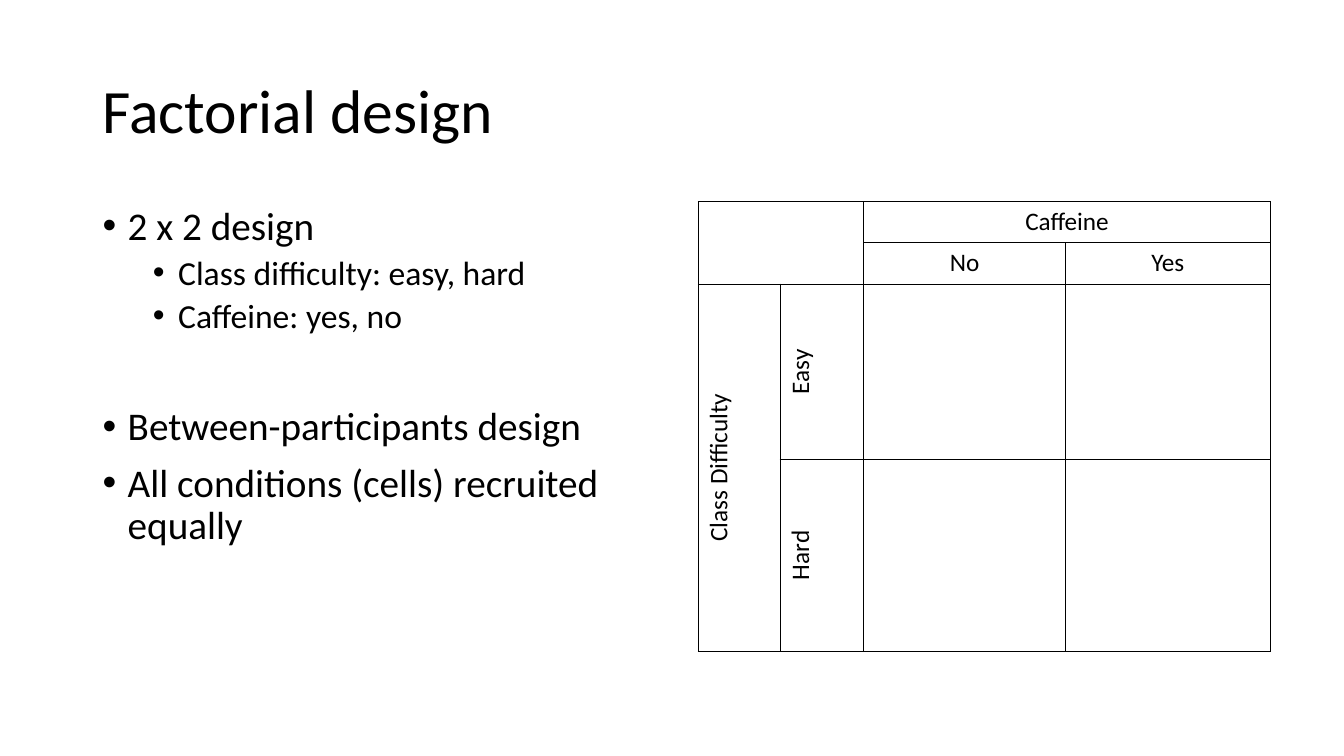
from lxml import etree
from pptx import Presentation
from pptx.dml.color import RGBColor
from pptx.enum.text import MSO_ANCHOR, MSO_AUTO_SIZE, PP_ALIGN
from pptx.oxml.ns import qn
from pptx.util import Cm, Pt

LEFT, CENTER = PP_ALIGN.LEFT, PP_ALIGN.CENTER
TOP, MIDDLE = MSO_ANCHOR.TOP, MSO_ANCHOR.MIDDLE
NO_FIT = MSO_AUTO_SIZE.NONE
BLACK = "000000"
FONT = "Calibri"

POINTS = [
    ("2 x 2 design", 0, 10),
    ("Class difficulty: easy, hard", 1, 5),
    ("Caffeine: yes, no", 1, 5),
    ("Between-participants design", 0, 51),
    ("All conditions (cells) recruited equally", 0, 10),
]
COLS = [2.06, 2.11, 5.08, 5.16]
ROWS = [1.04, 1.04, 4.42, 4.83]
SPANS = [(0, 0, 1, 1), (0, 2, 0, 3), (2, 0, 3, 0)]
HEADS = [(0, 2, "Caffeine"), (1, 2, "No"), (1, 3, "Yes")]
SIDES = [(2, 0, "Class Difficulty"), (2, 1, "Easy"), (3, 1, "Hard")]


def color(font, value):
    font.color.rgb = RGBColor.from_string(value)


def style(para, size, align):
    para.alignment = align
    for run in para.runs:
        run.font.name = FONT
        run.font.size = Pt(size)
        color(run.font, BLACK)


def place(shape, left, top, width, height, anchor):
    shape.left, shape.top = Cm(left), Cm(top)
    shape.width, shape.height = Cm(width), Cm(height)
    frame = shape.text_frame
    frame.word_wrap = True
    frame.auto_size = NO_FIT
    frame.vertical_anchor = anchor
    return frame


def add_title(slide, text):
    frame = place(slide.shapes.title, 2.33, 1.01, 29.21, 3.68, MIDDLE)
    frame.text = text
    para = frame.paragraphs[0]
    para.line_spacing = 0.9
    style(para, 44, LEFT)


def add_bullet(para, level):
    props = para._p.get_or_add_pPr()
    props.set("marL", str(Cm(0.635 + 1.27 * level)))
    props.set("indent", str(Cm(-0.635)))
    font = etree.SubElement(props, qn("a:buFont"))
    font.set("typeface", "Arial")
    mark = etree.SubElement(props, qn("a:buChar"))
    mark.set("char", "•")


def add_list(slide, points):
    frame = place(slide.placeholders[1], 2.33, 5.08, 14.4, 12.09, TOP)
    frame.text = "\n".join(text for text, _, _ in points)
    for para, (_, level, space) in zip(frame.paragraphs, points):
        para.level = level
        para.line_spacing = 0.9
        para.space_before = Pt(space)
        style(para, 28 - 4 * level, LEFT)
        add_bullet(para, level)


def add_border(cell):
    props = cell._tc.get_or_add_tcPr()
    for side in ("lnL", "lnR", "lnT", "lnB"):
        line = etree.SubElement(props, qn("a:" + side))
        line.set("w", str(Pt(1)))
        fill = etree.SubElement(line, qn("a:solidFill"))
        etree.SubElement(fill, qn("a:srgbClr")).set("val", BLACK)


def label(cell, text):
    cell.text_frame.text = text
    style(cell.text_frame.paragraphs[0], 18, CENTER)


def add_grid(slide):
    frame = slide.shapes.add_table(
        len(ROWS), len(COLS), Cm(17.6), Cm(5.08), Cm(sum(COLS)), Cm(sum(ROWS)))
    table = frame.table
    table.first_row = False
    table.horz_banding = False
    for col, width in zip(table.columns, COLS):
        col.width = Cm(width)
    for row, height in zip(table.rows, ROWS):
        row.height = Cm(height)
    for cell in table.iter_cells():
        add_border(cell)
        cell.fill.background()
    for top, left, bottom, right in SPANS:
        table.cell(top, left).merge(table.cell(bottom, right))
    for row, col, text in HEADS + SIDES:
        label(table.cell(row, col), text)
    for row, col, _ in SIDES:
        table.cell(row, col)._tc.tcPr.set("vert", "vert270")


def main():
    deck = Presentation()
    deck.slide_width, deck.slide_height = Cm(33.87), Cm(19.05)
    slide = deck.slides.add_slide(deck.slide_layouts[1])
    add_title(slide, "Factorial design")
    add_list(slide, POINTS)
    add_grid(slide)
    deck.save("out.pptx")


if __name__ == "__main__":
    main()
